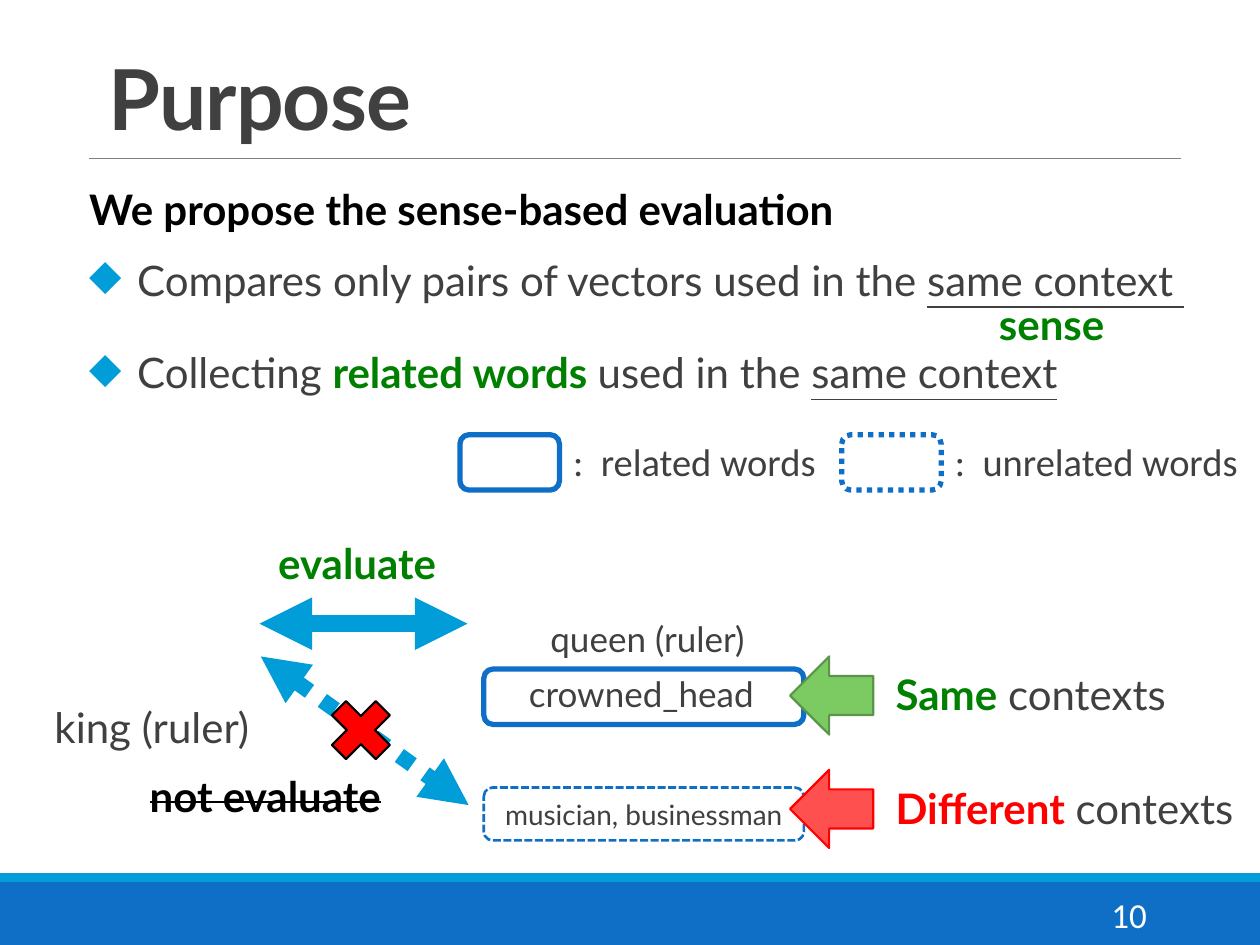
from lxml.etree import SubElement
from pptx import Presentation
from pptx.dml.color import RGBColor
from pptx.enum.dml import MSO_LINE_DASH_STYLE as Dash
from pptx.enum.shapes import MSO_CONNECTOR as Connector, MSO_SHAPE as Shape
from pptx.enum.text import MSO_ANCHOR as Anchor, PP_ALIGN as Align
from pptx.oxml.ns import qn
from pptx.util import Inches, Pt

BLUE = RGBColor(0x0F, 0x6F, 0xC6)
CYAN = RGBColor(0x00, 0x9D, 0xD9)
GRAY = RGBColor(0x80, 0x80, 0x80)
DARK = RGBColor(0x40, 0x40, 0x40)
GREEN = RGBColor(0x00, 0x80, 0x00)
LIGHT_GREEN = RGBColor(0x7C, 0xCA, 0x62)
LEAF = RGBColor(0x5C, 0x95, 0x49)
RED = RGBColor(0xFF, 0x00, 0x00)
LIGHT_RED = RGBColor(0xFF, 0x50, 0x50)
BLACK = RGBColor(0x00, 0x00, 0x00)
WHITE = RGBColor(0xFF, 0xFF, 0xFF)


def place(box):
    return [Inches(value) for value in box]


def format_run(run, color=DARK, size=24, font="Lato", bold=False, underline=False):
    run.font.name = font
    run.font.size = Pt(size)
    run.font.color.rgb = color
    run.font.bold = bold
    run.font.underline = underline


def add_run(paragraph, text, **style):
    run = paragraph.add_run()
    run.text = text
    format_run(run, **style)
    return run


def add_label(slide, box, *pieces, align=Align.LEFT, wrap=False):
    label = slide.shapes.add_textbox(*place(box))
    label.text_frame.word_wrap = wrap
    paragraph = label.text_frame.paragraphs[0]
    paragraph.alignment = align
    for text, style in pieces:
        add_run(paragraph, text, **style)
    return label


def add_figure(slide, kind, box, fill=None, line=None, width=1.25, dash=None):
    figure = slide.shapes.add_shape(kind, *place(box))
    figure.shadow.inherit = False
    if fill is None:
        figure.fill.background()
    else:
        figure.fill.solid()
        figure.fill.fore_color.rgb = fill
    if line is None:
        figure.line.fill.background()
    else:
        figure.line.color.rgb = line
        figure.line.width = Pt(width)
        figure.line.dash_style = dash
    return figure


def add_line(slide, start, end, color, width, dash=None, arrows=False):
    line = slide.shapes.add_connector(Connector.STRAIGHT, *place(start + end))
    line.line.color.rgb = color
    line.line.width = Pt(width)
    line.line.dash_style = dash
    if arrows:
        outline = line.line._get_or_add_ln()
        for tag in ("a:headEnd", "a:tailEnd"):
            SubElement(outline, qn(tag), type="triangle")
    SubElement(line._element.spPr, qn("a:effectLst"))


def add_title(slide):
    title = slide.shapes.title
    title.left, title.top, title.width, title.height = place((0.76, 0.31, 9.01, 0.91))
    title.text_frame.text = "Purpose"
    title.text_frame.vertical_anchor = Anchor.BOTTOM
    paragraph = title.text_frame.paragraphs[0]
    paragraph.alignment = Align.LEFT
    paragraph.line_spacing = 0.85
    run = paragraph.runs[0]
    format_run(run, size=48, bold=True)
    run.font._element.set("spc", "-50")


def add_bullets(slide, box, items):
    text_frame = slide.shapes.add_textbox(*place(box)).text_frame
    text_frame.word_wrap = True
    for index, pieces in enumerate(items):
        paragraph = text_frame.add_paragraph() if index else text_frame.paragraphs[0]
        properties = paragraph._p.get_or_add_pPr()
        properties.set("marL", str(Inches(0.38)))
        properties.set("indent", str(-Inches(0.38)))
        color = SubElement(properties, qn("a:buClr"))
        SubElement(color, qn("a:srgbClr"), val=str(CYAN))
        SubElement(properties, qn("a:buChar"), char="◆")
        paragraph.space_before = Pt(18 if index else 0)
        paragraph.space_after = Pt(6)
        for text, style in pieces:
            add_run(paragraph, text, **style)


def add_legend_entry(slide, left, width, text, dash):
    add_figure(slide, Shape.ROUNDED_RECTANGLE, (left, 3.45, 0.79, 0.44),
               line=BLUE, width=3, dash=dash)
    label = add_label(slide, (left + 0.8, 3.43, width, 0.47),
                      (f":\t{text}", dict(size=22, font="Calibri")))
    properties = label.text_frame.paragraphs[0]._p.get_or_add_pPr()
    tabs = SubElement(properties, qn("a:tabLst"))
    SubElement(tabs, qn("a:tab"), pos=str(Inches(0.22)), algn="l")


def add_context(slide, top, width, word, color, fill, line):
    arrow = add_figure(slide, Shape.RIGHT_ARROW, (6.27, top, 0.66, 0.62), fill, line)
    arrow.rotation = 180
    add_label(slide, (7.01, top + 0.05, width, 0.5),
              (word, dict(color=color, bold=True)), (" contexts", {}))


def add_frame(slide):
    add_figure(slide, Shape.RECTANGLE, (0, 7, 10, 0.5), BLUE)
    add_figure(slide, Shape.RECTANGLE, (0, 6.93, 10, 0.07), CYAN)
    add_line(slide, (0.71, 1.26), (9.37, 1.26), GRAY, 0.5)
    number = add_label(slide, (8.12, 7.06, 1.08, 0.4),
                       ("10", dict(color=WHITE, size=20, font="Calibri")),
                       align=Align.RIGHT, wrap=True)
    number.text_frame.vertical_anchor = Anchor.MIDDLE


def add_diagram(slide):
    centered = dict(align=Align.CENTER, wrap=True)
    add_label(slide, (0.22, 5.52, 1.97, 0.5), ("king (ruler)", {}), **centered)
    add_label(slide, (4.16, 4.85, 1.96, 0.44), ("queen (ruler)", dict(size=20)), **centered)
    add_figure(slide, Shape.ROUNDED_RECTANGLE, (3.84, 5.31, 2.54, 0.44), line=BLUE, width=3)
    add_label(slide, (4.09, 5.29, 2, 0.44), ("crowned_head", dict(size=20)), **centered)
    unrelated = add_figure(slide, Shape.ROUNDED_RECTANGLE, (3.84, 6.25, 2.54, 0.42),
                           line=BLUE, width=1.5, dash=Dash.SQUARE_DOT)
    unrelated.line.dash_style = Dash.SQUARE_DOT
    unrelated.line._get_or_add_ln().find(qn("a:prstDash")).set("val", "sysDash")
    unrelated.text_frame.vertical_anchor = Anchor.MIDDLE
    paragraph = unrelated.text_frame.paragraphs[0]
    paragraph.alignment = Align.CENTER
    add_run(paragraph, "musician, businessman", size=16)
    add_line(slide, (2.07, 5.21), (3.72, 6.39), CYAN, 9, Dash.ROUND_DOT, arrows=True)
    add_line(slide, (2.06, 4.95), (3.71, 4.95), CYAN, 10, arrows=True)
    add_figure(slide, Shape.MATH_MULTIPLY, (2.53, 5.46, 0.67, 0.67), RED, BLACK)
    add_label(slide, (2.11, 4.22, 1.53, 0.5), ("evaluate", dict(color=GREEN, bold=True)))
    rejected = add_label(slide, (1.09, 6.07, 2.17, 0.5),
                         ("not evaluate", dict(color=BLACK, bold=True)))
    rejected.text_frame.paragraphs[0].runs[0].font._element.set("strike", "sngStrike")
    add_context(slide, 5.21, 2.41, "Same", GREEN, LIGHT_GREEN, LEAF)
    add_context(slide, 6.11, 2.95, "Different", RED, LIGHT_RED, RED)


def main():
    presentation = Presentation()
    presentation.slide_width, presentation.slide_height = Inches(10), Inches(7.5)
    slide = presentation.slides.add_slide(presentation.slide_layouts[5])
    add_frame(slide)
    add_title(slide)
    add_label(slide, (0.61, 1.41, 6.47, 0.5),
              ("We propose the sense-based evaluation", dict(color=BLACK, bold=True)))
    add_bullets(slide, (0.61, 1.97, 9.01, 1.79), [
        [("Compares only pairs of vectors used in the ", {}),
         ("same context ", dict(underline=True))],
        [("Collecting ", {}), ("related words ", dict(color=GREEN, bold=True)),
         ("used in the ", {}), ("same context", dict(underline=True))],
    ])
    add_label(slide, (7.83, 2.32, 1.06, 0.5), ("sense", dict(color=GREEN, bold=True)))
    add_diagram(slide)
    add_legend_entry(slide, 3.65, 2.15, "related words", None)
    add_legend_entry(slide, 6.68, 2.47, "unrelated words", Dash.ROUND_DOT)
    presentation.save("out.pptx")


if __name__ == "__main__":
    main()
